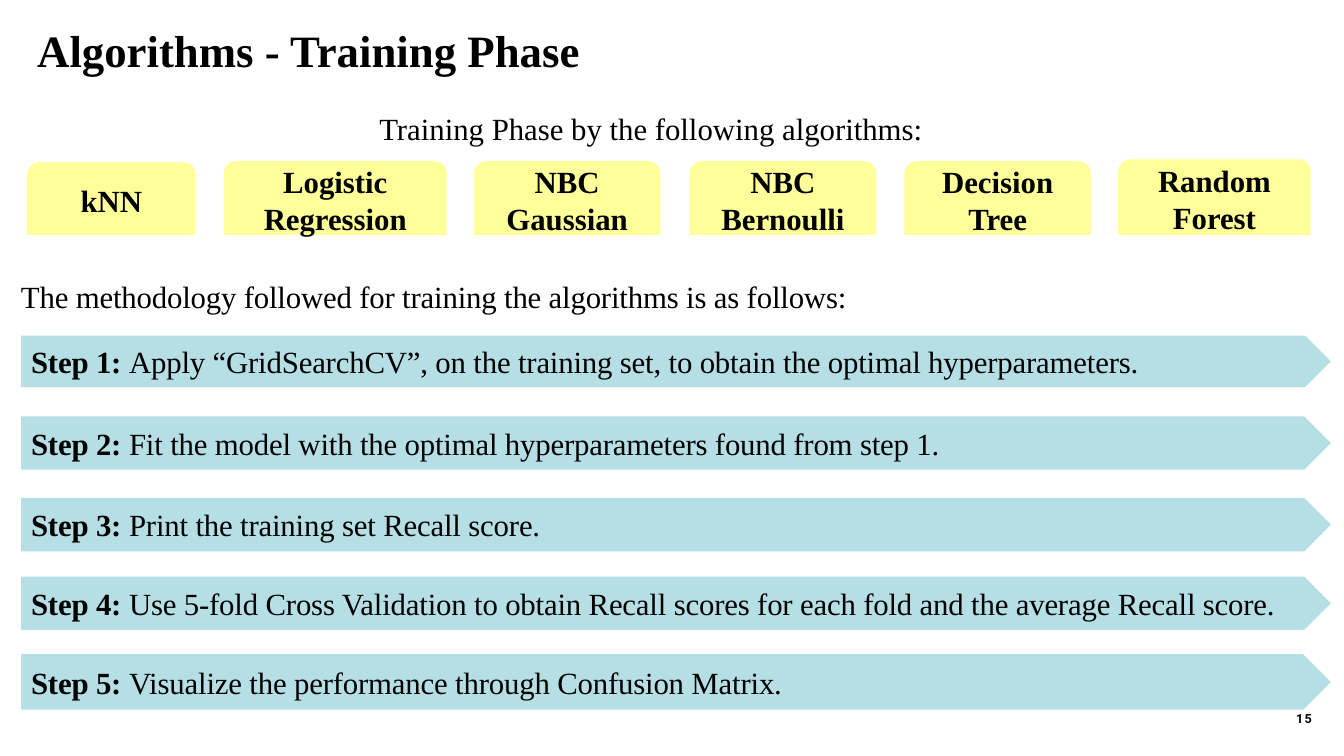
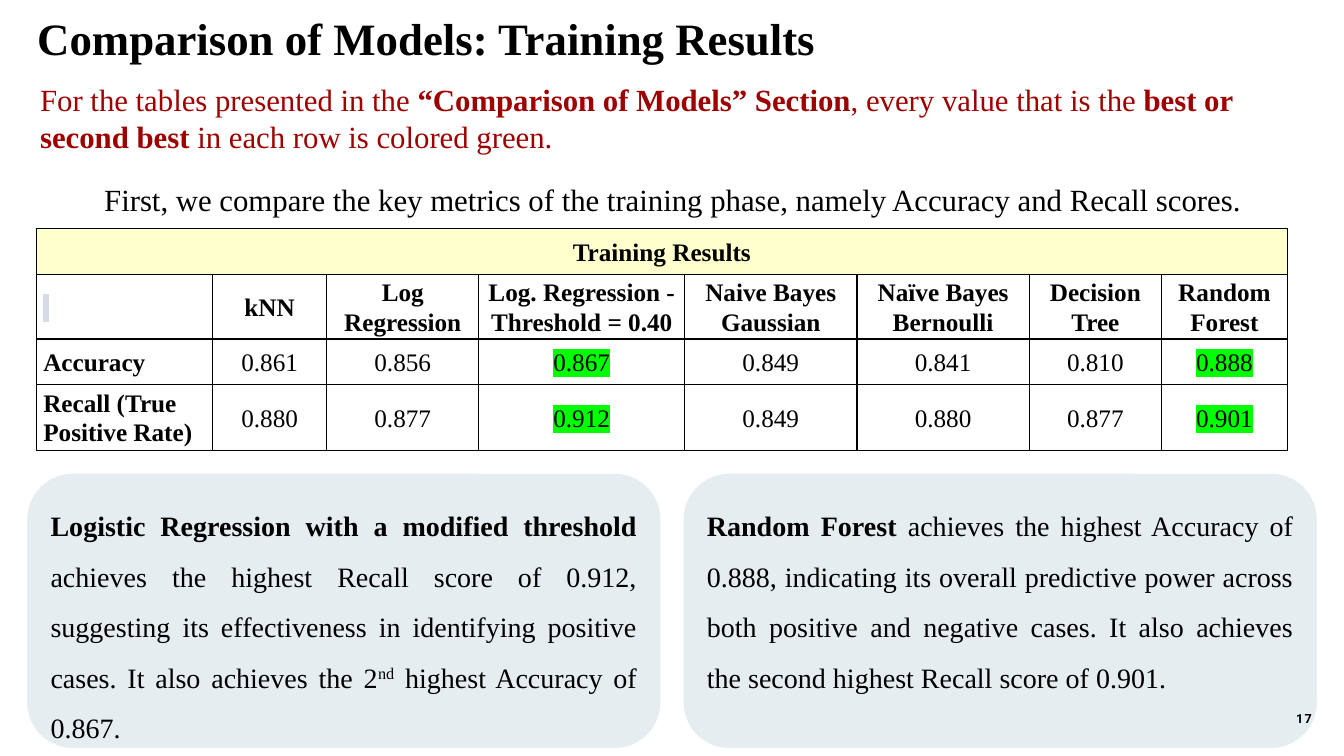
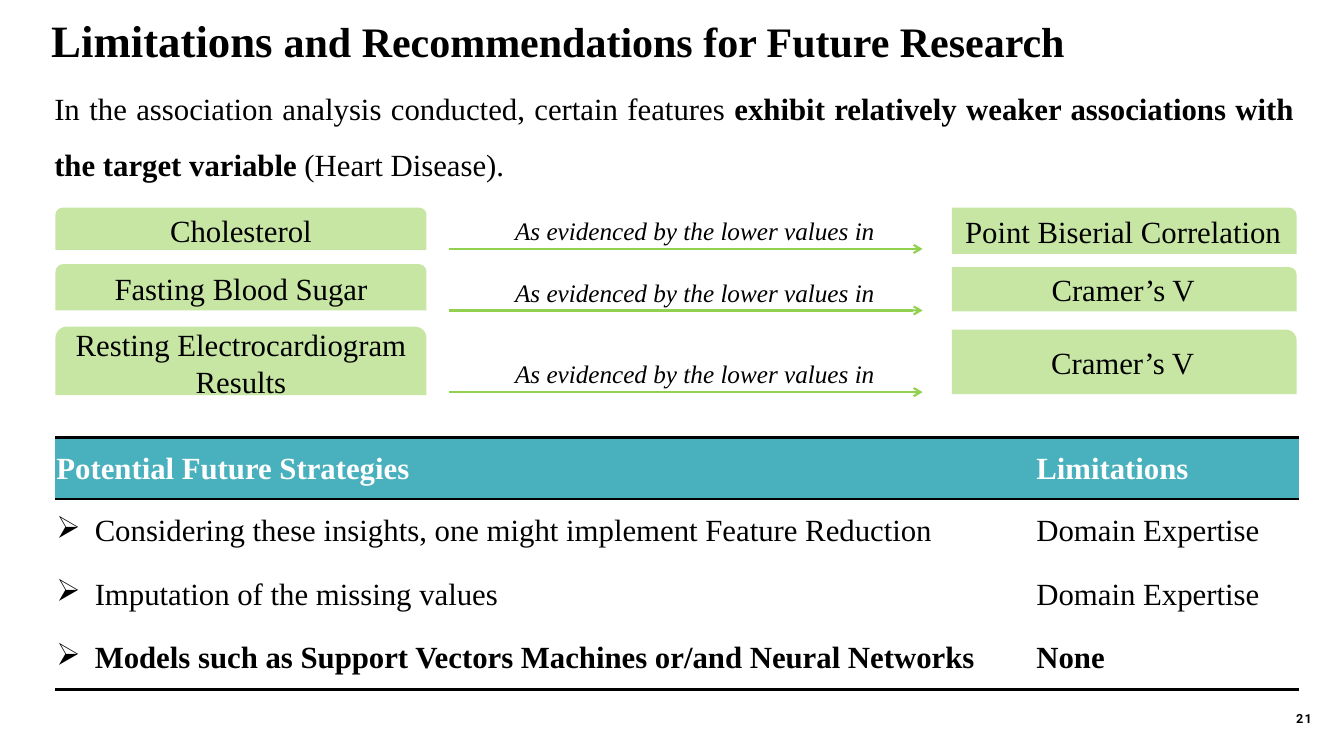
import pptx
import pptx.dml.color
import pptx.enum.shapes
import pptx.enum.text
import pptx.oxml
import pptx.oxml.ns
import pptx.util

Inches = pptx.util.Inches
Pt = pptx.util.Pt
RGBColor = pptx.dml.color.RGBColor
SHAPE = pptx.enum.shapes.MSO_SHAPE
ALIGN = pptx.enum.text.PP_ALIGN
ANCHOR = pptx.enum.text.MSO_ANCHOR
qn = pptx.oxml.ns.qn

BLACK = RGBColor(0x00, 0x00, 0x00)
WHITE = RGBColor(0xFF, 0xFF, 0xFF)
DARK_RED = RGBColor(0x9E, 0x00, 0x00)
YELLOW = RGBColor(0xFF, 0xFF, 0x99)
PALE_YELLOW = RGBColor(0xFF, 0xFF, 0xCD)
PALE_TEAL = RGBColor(0xB6, 0xDF, 0xE5)
TEAL = RGBColor(0x49, 0xB0, 0xBD)
PALE_GRAY = RGBColor(0xE5, 0xED, 0xF0)
MARK_GRAY = RGBColor(0xD6, 0xDC, 0xE5)
MARK_GREEN = RGBColor(0x00, 0xFF, 0x00)
PALE_GREEN = RGBColor(0xC7, 0xE6, 0xA4)
GREEN = RGBColor(0x92, 0xD0, 0x50)

NAMESPACE = pptx.oxml.ns.nsdecls("a")
NO_STYLE = "{2D5ABB26-0587-4C30-8999-92F81FD0307C}"


def write(frame, text, size=22, color=BLACK, font="Times New Roman", bold=False,
          italic=False, align=ALIGN.LEFT, anchor=ANCHOR.TOP, line=1.0, before=0,
          after=0, tracking=0, highlight=None, bullet=None):
    frame.word_wrap = True
    frame.vertical_anchor = anchor
    paragraph = frame.paragraphs[0]
    paragraph.alignment = align
    paragraph.line_spacing = line
    paragraph.space_before = Pt(before)
    paragraph.space_after = Pt(after)
    if bullet:
        properties = paragraph._p.get_or_add_pPr()
        properties.set("marL", str(Inches(0.38)))
        properties.set("indent", str(-Inches(0.38)))
        properties.append(pptx.oxml.parse_xml(f'<a:buChar {NAMESPACE} char="{bullet}"/>'))
    pieces = [(text, {})] if isinstance(text, str) else text
    for words, changes in pieces:
        run = paragraph.add_run()
        run.text = words
        run.font.size = Pt(changes.get("size", size))
        run.font.bold = changes.get("bold", bold)
        run.font.italic = italic
        run.font.color.rgb = color
        properties = run._r.get_or_add_rPr()
        if highlight:
            properties.append(pptx.oxml.parse_xml(
                f'<a:highlight {NAMESPACE}><a:srgbClr val="{highlight}"/></a:highlight>'))
        run.font.name = font
        if tracking:
            properties.set("spc", str(int(tracking * 100)))
        if "raised" in changes:
            properties.set("baseline", str(changes["raised"] * 1000))


def add_box(slide, left, top, width, height, kind=None, fill=None):
    place = [Inches(value) for value in (left, top, width, height)]
    if kind is None:
        return slide.shapes.add_textbox(*place).text_frame
    shape = slide.shapes.add_shape(kind, *place)
    shape.shadow.inherit = False
    shape.fill.solid()
    shape.fill.fore_color.rgb = fill
    shape.line.fill.background()
    return shape.text_frame


presentation = pptx.Presentation()
presentation.slide_width = Inches(13.33)
presentation.slide_height = Inches(7.5)
BOLD = {"bold": True}

titles = [
    (0.27, 0.09, "Algorithms - Training Phase"),
    (0.27, -0.03, "Comparison of Models: Training Results"),
    (0.41, -0.01, [("Limitations", {}),
                   (" and Recommendations for Future Research", {"size": 30})]),
]
for left, top, title in titles:
    slide = presentation.slides.add_slide(presentation.slide_layouts[6])
    write(add_box(slide, left, top, 11.62, 0.69), title, size=32, bold=True,
          anchor=ANCHOR.MIDDLE, line=1.2, before=10)
training, comparison, limitations = presentation.slides

write(add_box(training, 0.74, 0.86, 11.43, 0.6),
      "Training Phase by the following algorithms:",
      align=ALIGN.CENTER, line=1.5, after=6)
write(add_box(training, 0.11, 2.52, 11.43, 0.6),
      "The methodology followed for training the algorithms is as follows:",
      align=ALIGN.JUSTIFY, line=1.5, after=6, tracking=-0.1)

algorithms = [
    ("kNN", 0.27, 1.61, 1.67),
    ("Logistic Regression", 2.22, 1.6, 2.21),
    ("NBC Gaussian", 4.7, 1.6, 1.85),
    ("NBC Bernoulli", 6.84, 1.6, 1.85),
    ("Decision Tree", 8.97, 1.6, 1.85),
    ("Random Forest", 11.09, 1.58, 1.91),
]
for name, left, top, width in algorithms:
    write(add_box(training, left, top, width, 2.33 - top, SHAPE.ROUND_2_SAME_RECTANGLE, YELLOW),
          name, bold=True, align=ALIGN.CENTER, anchor=ANCHOR.MIDDLE)

steps = [
    (3.33, 0.51, "Apply “GridSearchCV”, on the training set, to obtain the optimal hyperparameters."),
    (4.13, 0.53, "Fit the model with the optimal hyperparameters found from step 1."),
    (4.94, 0.53, "Print the training set Recall score."),
    (5.72, 0.53, "Use 5-fold Cross Validation to obtain Recall scores for each fold and the average Recall score."),
    (6.49, 0.55, "Visualize the performance through Confusion Matrix."),
]
for number, (top, height, action) in enumerate(steps, 1):
    write(add_box(training, 0.21, top, 12.99, height, SHAPE.PENTAGON, PALE_TEAL),
          [(f"Step {number}: ", BOLD), (action, {})],
          align=ALIGN.JUSTIFY, anchor=ANCHOR.MIDDLE, after=6, tracking=-0.1)

write(add_box(comparison, 0.3, 0.75, 12.6, 0.84),
      [("For the tables presented in the ", {}),
       ("“Comparison of Models” Section", BOLD),
       (", every value that is the ", {}),
       ("best or second best ", BOLD),
       ("in each row is colored green.", {})],
      color=DARK_RED, after=6)
write(add_box(comparison, 0.37, 1.56, 12.6, 0.6),
      "First, we compare the key metrics of the training phase, namely Accuracy and Recall scores.",
      align=ALIGN.CENTER, line=1.5, after=6)

results = [
    ["Training Results"],
    [" ", "kNN", "Log Regression", "Log. Regression - Threshold = 0.40", "Naive Bayes Gaussian",
     "Naïve Bayes Bernoulli", "Decision Tree", "Random Forest"],
    ["Accuracy", "0.861", "0.856", "0.867", "0.849", "0.841", "0.810", "0.888"],
    ["Recall (True Positive Rate)", "0.880", "0.877", "0.912", "0.849", "0.880", "0.877", "0.901"],
]
strategies = [
    ["Potential Future Strategies", "Limitations"],
    ["Considering these insights, one might implement Feature Reduction", "Domain Expertise"],
    ["Imputation of the missing values", "Domain Expertise"],
    ["Models such as Support Vectors Machines or/and Neural Networks", "None"],
]
tables = []
for slide, left, top, widths, heights in [
    (comparison, 0.36, 2.27, [1.75, 1.13, 1.51, 2.04, 1.71, 1.71, 1.31, 1.25],
     [0.45, 0.59, 0.45, 0.66]),
    (limitations, 0.55, 4.34, [9.72, 2.61], [0.61, 0.63, 0.63, 0.63]),
]:
    graphic = slide.shapes.add_table(len(heights), len(widths), Inches(left), Inches(top),
                                     Inches(sum(widths)), Inches(sum(heights)))
    graphic.element.find(".//" + qn("a:tableStyleId")).text = NO_STYLE
    table = graphic.table
    table.first_row = False
    table.horz_banding = False
    for column, width in zip(table.columns, widths):
        column.width = Inches(width)
    for row, height in zip(table.rows, heights):
        row.height = Inches(height)
    tables.append(table)
results_table, strategies_table = tables

results_table.cell(0, 0).merge(results_table.cell(0, 7))
best_columns = (3, 7)
cell_formats = []
for row, texts in enumerate(results):
    for column in range(8):
        cell = results_table.cell(row, column)
        cell_formats.append((cell, 0.07, 0, PALE_YELLOW if row == 0 else WHITE, "LRTB", 1))
        if column < len(texts):
            mark = MARK_GREEN if row > 1 and column in best_columns else None
            write(cell.text_frame, texts[column], size=18, line=1.07,
                  bold=row < 2 or column == 0,
                  align=ALIGN.LEFT if row and column == 0 else ALIGN.CENTER,
                  highlight=MARK_GRAY if texts[column] == " " else mark)

for row, texts in enumerate(strategies):
    for column, text in enumerate(texts):
        cell = strategies_table.cell(row, column)
        sides = {0: "TB", 3: "B"}.get(row, "")
        cell_formats.append((cell, 0.01, 0.01, WHITE if row else TEAL, sides, 2))
        write(cell.text_frame, text, bold=row in (0, 3), color=BLACK if row else WHITE,
              bullet="➢" if row and column == 0 else None)

for cell, side_margin, top_margin, fill, sides, width in cell_formats:
    cell.vertical_anchor = ANCHOR.MIDDLE
    cell.margin_left = cell.margin_right = Inches(side_margin)
    cell.margin_top = Inches(top_margin)
    cell.margin_bottom = 0
    cell.fill.solid()
    cell.fill.fore_color.rgb = fill
    for position, side in enumerate(sides):
        cell._tc.get_or_add_tcPr().insert(position, pptx.oxml.parse_xml(
            f'<a:ln{side} {NAMESPACE} w="{Pt(width)}"><a:solidFill>'
            f'<a:srgbClr val="{BLACK}"/></a:solidFill></a:ln{side}>'))

findings = [
    (0.27, [("Logistic Regression with a modified threshold ", BOLD),
            ("achieves the highest Recall score of 0.912, suggesting its effectiveness in "
             "identifying positive cases. It also achieves the 2", {}),
            ("nd", {"raised": 30}),
            (" highest Accuracy of 0.867.", {})]),
    (6.78, [("Random Forest ", BOLD),
            ("achieves the highest Accuracy of 0.888, indicating its overall predictive power "
             "across both positive and negative cases. It also achieves the second highest "
             "Recall score of 0.901.", {})]),
]
for left, finding in findings:
    write(add_box(comparison, left, 4.7, 6.28, 2.72, SHAPE.ROUNDED_RECTANGLE, PALE_GRAY),
          finding, size=20, align=ALIGN.JUSTIFY, line=1.5, after=6)

write(add_box(limitations, 0.44, 0.66, 12.49, 1.15),
      [("In the association analysis conducted, certain features ", {}),
       ("exhibit relatively weaker associations with the target variable", BOLD),
       (" (Heart Disease).", {})],
      align=ALIGN.JUSTIFY, line=1.5, after=6)

associations = [
    ("Cholesterol", 2.06, 0.42, "Point Biserial Correlation", 2.06, 0.46, 2.47),
    ("Fasting Blood Sugar", 2.62, 0.46, "Cramer’s V", 2.65, 0.44, 3.08),
    ("Resting Electrocardiogram Results", 3.24, 0.68, "Cramer’s V", 3.27, 0.64, 3.89),
]
for feature, feature_top, feature_height, measure, measure_top, measure_height, arrow_y in associations:
    write(add_box(limitations, 0.55, feature_top, 3.68, feature_height,
                  SHAPE.ROUND_2_SAME_RECTANGLE, PALE_GREEN),
          feature, align=ALIGN.CENTER, anchor=ANCHOR.MIDDLE)
    write(add_box(limitations, 9.44, measure_top, 3.42, measure_height,
                  SHAPE.ROUND_1_RECTANGLE, PALE_GREEN),
          measure, align=ALIGN.CENTER, anchor=ANCHOR.MIDDLE)
    write(add_box(limitations, 5.01, arrow_y - 0.53, 3.78, 0.51),
          "As evidenced by the lower values in", size=18, italic=True,
          align=ALIGN.JUSTIFY, line=1.5, after=6)
    arrow = limitations.shapes.add_connector(
        pptx.enum.shapes.MSO_CONNECTOR.STRAIGHT,
        Inches(4.45), Inches(arrow_y), Inches(9.15), Inches(arrow_y))
    arrow.line.color.rgb = GREEN
    arrow.line.width = Pt(1.5)
    arrow.line._get_or_add_ln().append(
        pptx.oxml.parse_xml(f'<a:tailEnd {NAMESPACE} type="arrow"/>'))
    arrow.element.spPr.append(pptx.oxml.parse_xml(f"<a:effectLst {NAMESPACE}/>"))

for slide, number in zip(presentation.slides, ("15", "17", "21")):
    write(add_box(slide, 12.52, 6.93, 0.59, 0.4), number, size=9, font="Roboto",
          bold=True, align=ALIGN.RIGHT, anchor=ANCHOR.MIDDLE, tracking=1)

presentation.save("out.pptx")
